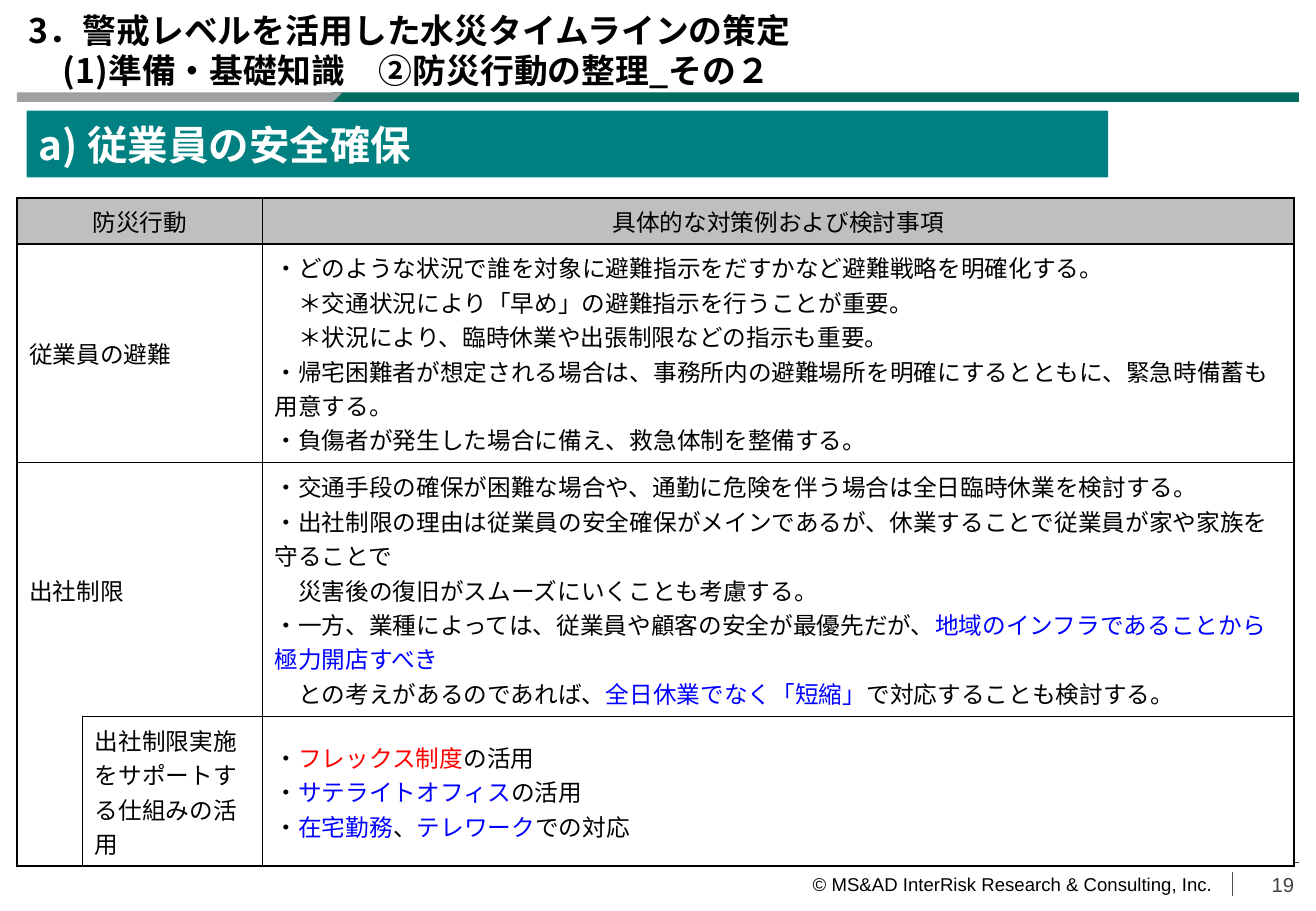
from lxml import etree
from pptx import Presentation
from pptx import util as u
from pptx.dml.color import RGBColor
from pptx.enum import shapes, text
from pptx.oxml.ns import qn

THEME = {
    "japanese": "Noto Sans CJK JP", "latin": "Arial",
    "black": "000000", "white": "FFFFFF", "blue": "0000FF", "red": "FF0000",
    "teal": "008080", "green": "006C60", "gray": "9EA0A1", "header": "BFBFBF",
    "rule": "414243", "divider": "4C4C4C",
    "title": 20, "title_line": 23.7, "banner": 24, "body": 14, "footer": 11, "number": 12,
}
ALIGN = text.PP_ALIGN
ANCHOR = text.MSO_ANCHOR

TITLE = ["3．警戒レベルを活用した水災タイムラインの策定\n　(1)準備・基礎知識　②防災行動の整理_その２"]
BANNER = ["a) 従業員の安全確保　"]
COPYRIGHT = ["© MS&AD InterRisk Research & Consulting, Inc."]
PAGE_NUMBER = ["19"]

COLUMN_WIDTHS = [0.54, 1.48, 8.49]
ROW_HEIGHTS = [0.38, 1.8, 2.09, 1.23]
MERGED_ROWS = [0, 1, 2]
OPEN_SIDES = {(2, 0): "B", (3, 0): "T"}
CELLS = {
    (0, 0): ["防災行動"],
    (0, 2): ["具体的な対策例および検討事項"],
    (1, 0): ["従業員の避難"],
    (1, 2): [
        "・どのような状況で誰を対象に避難指示をだすかなど避難戦略を明確化する。",
        "　＊交通状況により「早め」の避難指示を行うことが重要。",
        "　＊状況により、臨時休業や出張制限などの指示も重要。",
        "・帰宅困難者が想定される場合は、事務所内の避難場所を明確にするとともに、緊急時備蓄も用意する。",
        "・負傷者が発生した場合に備え、救急体制を整備する。",
    ],
    (2, 0): ["出社制限"],
    (2, 2): [
        "・交通手段の確保が困難な場合や、通勤に危険を伴う場合は全日臨時休業を検討する。",
        "・出社制限の理由は従業員の安全確保がメインであるが、休業することで従業員が家や家族を守ることで",
        "　災害後の復旧がスムーズにいくことも考慮する。",
        ["・一方、業種によっては、従業員や顧客の安全が最優先だが、",
         ("地域のインフラであることから極力開店すべき", "blue")],
        ["　との考えがあるのであれば、", ("全日休業でなく「短縮」", "blue"), "で対応することも検討する。"],
    ],
    (3, 1): ["出社制限実施をサポートする仕組みの活用"],
    (3, 2): [
        ["・", ("フレックス制度", "red"), "の活用"],
        ["・", ("サテライトオフィス", "blue"), "の活用"],
        ["・", ("在宅勤務", "blue"), "、", ("テレワーク", "blue"), "での対応"],
    ],
}


def color(name):
    return RGBColor.from_string(THEME[name])


def write(frame, paragraphs, size="body", font="japanese", fill="black",
          bold=False, align=ALIGN.LEFT, spacing=None):
    for index, content in enumerate(paragraphs):
        paragraph = frame.paragraphs[0] if index == 0 else frame.add_paragraph()
        paragraph.alignment = align
        if spacing:
            paragraph.line_spacing = u.Pt(THEME[spacing])
        for part in [content] if isinstance(content, str) else content:
            words, tint = (part, fill) if isinstance(part, str) else part
            for number, line in enumerate(words.split("\n")):
                if number:
                    paragraph.add_line_break()
                run = paragraph.add_run()
                run.text = line
                run.font.size = u.Pt(THEME[size])
                run.font.bold = bold
                run.font.color.rgb = color(tint)
                run.font.name = THEME[font]
                latin = run.font._element.find(qn("a:latin"))
                east_asian = etree.Element(qn("a:ea"), typeface=THEME[font])
                latin.addnext(east_asian)


def add_text(slide, box, paragraphs, margins=(0, 0, 0, 0), **style):
    frame = slide.shapes.add_textbox(*map(u.Inches, box)).text_frame
    frame.word_wrap = True
    frame.vertical_anchor = ANCHOR.BOTTOM
    (frame.margin_left, frame.margin_top,
     frame.margin_right, frame.margin_bottom) = map(u.Inches, margins)
    write(frame, paragraphs, **style)


def add_block(slide, kind, box, fill):
    shape = slide.shapes.add_shape(kind, *map(u.Inches, box))
    shape.shadow.inherit = False
    shape.fill.solid()
    shape.fill.fore_color.rgb = color(fill)
    shape.line.fill.background()
    return shape


def add_line(slide, ends, stroke, width):
    line = slide.shapes.add_connector(shapes.MSO_CONNECTOR.STRAIGHT, *map(u.Inches, ends))
    line.line.color.rgb = color(stroke)
    line.line.width = u.Pt(width)
    etree.SubElement(line._element.spPr, qn("a:effectLst"))


def set_borders(cell, open_side):
    properties = cell._tc.get_or_add_tcPr()
    for index, side in enumerate("LRTB"):
        border = etree.Element(qn(f"a:ln{side}"), w=str(u.Pt(1)))
        if side == open_side:
            etree.SubElement(border, qn("a:noFill"))
        else:
            solid = etree.SubElement(border, qn("a:solidFill"))
            etree.SubElement(solid, qn("a:srgbClr"), val=THEME["black"])
        properties.insert(index, border)


def add_actions_table(slide):
    size = (sum(COLUMN_WIDTHS), sum(ROW_HEIGHTS))
    table = slide.shapes.add_table(
        len(ROW_HEIGHTS), len(COLUMN_WIDTHS), *map(u.Inches, (0.14, 1.63, *size))).table
    for column, width in zip(table.columns, COLUMN_WIDTHS):
        column.width = u.Inches(width)
    for row, height in zip(table.rows, ROW_HEIGHTS):
        row.height = u.Inches(height)
    for row in MERGED_ROWS:
        table.cell(row, 0).merge(table.cell(row, 1))
    for row in range(len(ROW_HEIGHTS)):
        for column in range(len(COLUMN_WIDTHS)):
            cell = table.cell(row, column)
            cell.vertical_anchor = ANCHOR.MIDDLE
            cell.fill.solid()
            cell.fill.fore_color.rgb = color("white" if row else "header")
            set_borders(cell, OPEN_SIDES.get((row, column)))
            write(cell.text_frame, CELLS.get((row, column), []),
                  align=ALIGN.LEFT if row else ALIGN.CENTER)


def main():
    presentation = Presentation()
    presentation.slide_width = u.Inches(10.83)
    presentation.slide_height = u.Inches(7.5)
    slide = presentation.slides.add_slide(presentation.slide_layouts[6])
    preset = shapes.MSO_SHAPE

    add_block(slide, preset.RECTANGLE, (0.14, 0.76, 2.6, 0.08), "gray")
    add_block(slide, preset.RECTANGLE, (2.74, 0.76, 7.95, 0.08), "green")
    add_block(slide, preset.RIGHT_TRIANGLE, (2.74, 0.76, 0.08, 0.08), "gray").rotation = 90

    add_line(slide, (0.14, 7.1, 10.69, 7.1), "rule", 1)
    add_text(slide, (5.65, 7.19, 4.33, 0.18), COPYRIGHT,
             size="footer", font="latin", align=ALIGN.RIGHT)
    add_line(slide, (10.14, 7.38, 10.14, 7.18), "divider", 0.75)
    add_text(slide, (10.14, 7.09, 0.51, 0.29), PAGE_NUMBER,
             size="number", font="latin", fill="rule", align=ALIGN.RIGHT)

    add_actions_table(slide)

    banner = add_block(slide, preset.RECTANGLE, (0.22, 0.91, 8.9, 0.55), "teal")
    banner.text_frame.vertical_anchor = ANCHOR.MIDDLE
    write(banner.text_frame, BANNER, size="banner", fill="white", bold=True)
    add_text(slide, (0.14, 0.13, 10.55, 0.63), TITLE, margins=(0.1, 0.04, 0.1, 0.02),
             size="title", bold=True, spacing="title_line")

    presentation.save("out.pptx")


if __name__ == "__main__":
    main()
